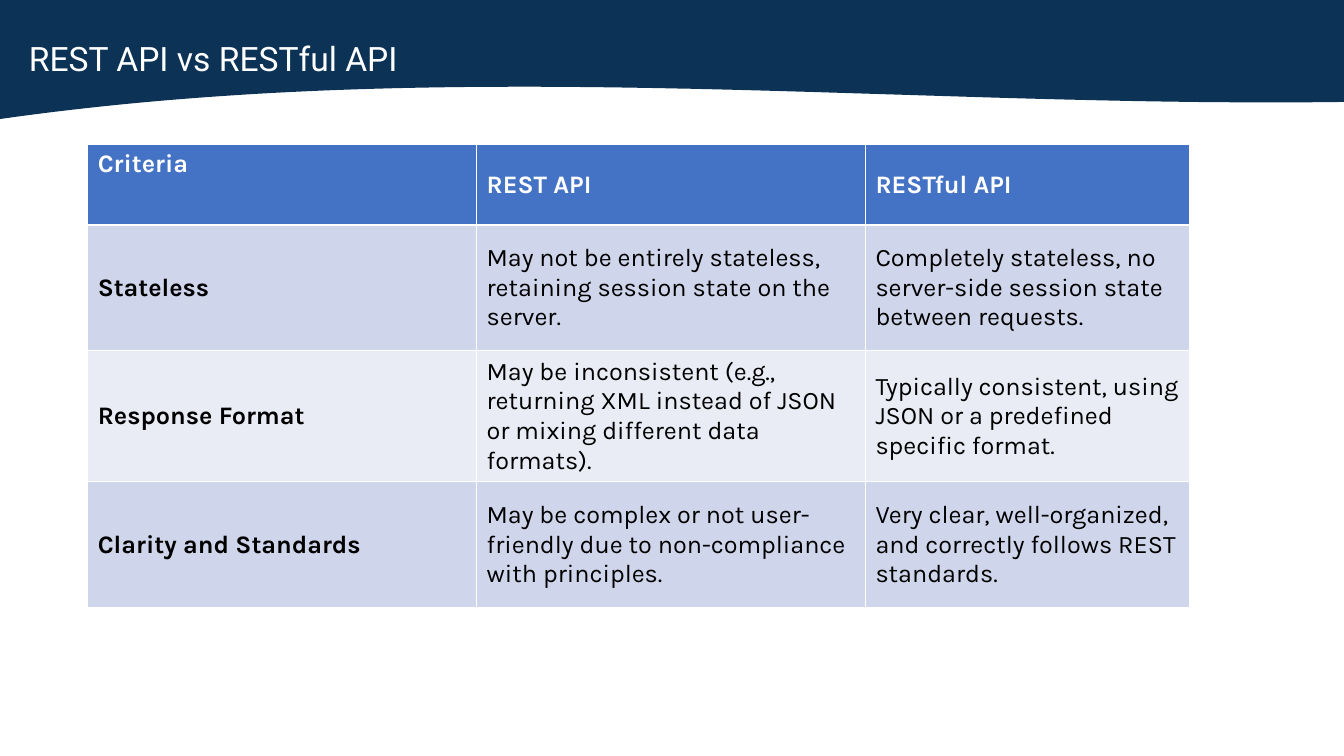
from dataclasses import dataclass

from pptx import Presentation
from pptx.dml.color import RGBColor
from pptx.enum.text import MSO_ANCHOR as Anchor, MSO_AUTO_SIZE as AutoSize
from pptx.slide import Slide
from pptx.table import _Cell as Cell
from pptx.util import Cm, Pt

NAVY = RGBColor(0x0C, 0x32, 0x55)
BLUE = RGBColor(0x44, 0x72, 0xC4)
BAND_DARK = RGBColor(0xCF, 0xD5, 0xEA)
BAND_LIGHT = RGBColor(0xE9, 0xEB, 0xF5)
WHITE = RGBColor(0xFF, 0xFF, 0xFF)
BLACK = RGBColor(0x00, 0x00, 0x00)

SLIDE_WIDTH, SLIDE_HEIGHT = 33.87, 19.05
BANNER_TOP = -0.08
# Control points of the banner's lower edge, right to left, in cm
WAVE = ((SLIDE_WIDTH, 2.57), (22.58, 2.72), (11.51, 1.37), (0, 3.0))
WAVE_STEPS = 80

COLUMN_WIDTHS = (9.8, 9.8, 8.17)
HEADER_HEIGHT, ROW_HEIGHT = 2.03, 3.17


@dataclass(frozen=True)
class Criterion:
    name: str
    rest: str
    restful: str


HEADER = Criterion("Criteria", "REST API", "RESTful API")
CRITERIA = (
    Criterion(
        "Stateless",
        "May not be entirely stateless, retaining session state on the server.",
        "Completely stateless, no server-side session state between requests.",
    ),
    Criterion(
        "Response Format",
        "May be inconsistent (e.g., returning XML instead of JSON or mixing different data formats).",
        "Typically consistent, using JSON or a predefined specific format.",
    ),
    Criterion(
        "Clarity and Standards",
        "May be complex or not user-friendly due to non-compliance with principles.",
        "Very clear, well-organized, and correctly follows REST standards.",
    ),
)


def wave_point(t: float) -> tuple[int, int]:
    """Point of the cubic Bezier curve at t, in EMU."""
    weights = ((1 - t) ** 3, 3 * t * (1 - t) ** 2, 3 * t**2 * (1 - t), t**3)
    x, y = (sum(w * p[axis] for w, p in zip(weights, WAVE)) for axis in (0, 1))
    return Cm(x), Cm(y)


def draw_banner(slide: Slide) -> None:
    outline = slide.shapes.build_freeform(Cm(0), Cm(BANNER_TOP))
    wave = [wave_point(step / WAVE_STEPS) for step in range(WAVE_STEPS + 1)]
    outline.add_line_segments([(Cm(SLIDE_WIDTH), Cm(BANNER_TOP)), *wave], close=True)
    banner = outline.convert_to_shape()
    banner.shadow.inherit = False
    banner.fill.solid()
    banner.fill.fore_color.rgb = NAVY
    banner.line.fill.background()


def draw_title(slide: Slide, text: str) -> None:
    title = slide.shapes.add_textbox(Cm(0.48), Cm(0.82), Cm(13.34), Cm(1.28))
    frame = title.text_frame
    frame.word_wrap = True
    frame.auto_size = AutoSize.SHAPE_TO_FIT_TEXT
    frame.text = text
    font = frame.paragraphs[0].font
    font.name, font.size, font.color.rgb = "Roboto", Pt(24), WHITE


def fill_cell(cell: Cell, text: str, fill: RGBColor, color: RGBColor, bold: bool) -> None:
    cell.text = text
    cell.vertical_anchor = Anchor.MIDDLE
    cell.fill.solid()
    cell.fill.fore_color.rgb = fill
    font = cell.text_frame.paragraphs[0].font
    font.name, font.size, font.bold = "Karla", Pt(18), bold
    font.color.rgb = color


def draw_comparison(slide: Slide) -> None:
    rows = (HEADER, *CRITERIA)
    heights = (HEADER_HEIGHT, *[ROW_HEIGHT] * len(CRITERIA))
    comparison = slide.shapes.add_table(
        len(rows), len(COLUMN_WIDTHS), Cm(2.21), Cm(3.64),
        Cm(sum(COLUMN_WIDTHS)), Cm(sum(heights)),
    ).table
    for column, width in zip(comparison.columns, COLUMN_WIDTHS):
        column.width = Cm(width)
    for r, (criterion, height) in enumerate(zip(rows, heights)):
        comparison.rows[r].height = Cm(height)
        is_header = r == 0
        fill = BLUE if is_header else BAND_DARK if r % 2 else BAND_LIGHT
        color = WHITE if is_header else BLACK
        for c, text in enumerate((criterion.name, criterion.rest, criterion.restful)):
            fill_cell(comparison.cell(r, c), text, fill, color, bold=is_header or c == 0)
    comparison.cell(0, 0).vertical_anchor = Anchor.TOP


def main() -> None:
    deck = Presentation()
    deck.slide_width, deck.slide_height = Cm(SLIDE_WIDTH), Cm(SLIDE_HEIGHT)
    slide = deck.slides.add_slide(deck.slide_layouts[6])
    draw_banner(slide)
    draw_title(slide, "REST API vs RESTful API")
    draw_comparison(slide)
    deck.save("out.pptx")


if __name__ == "__main__":
    main()
